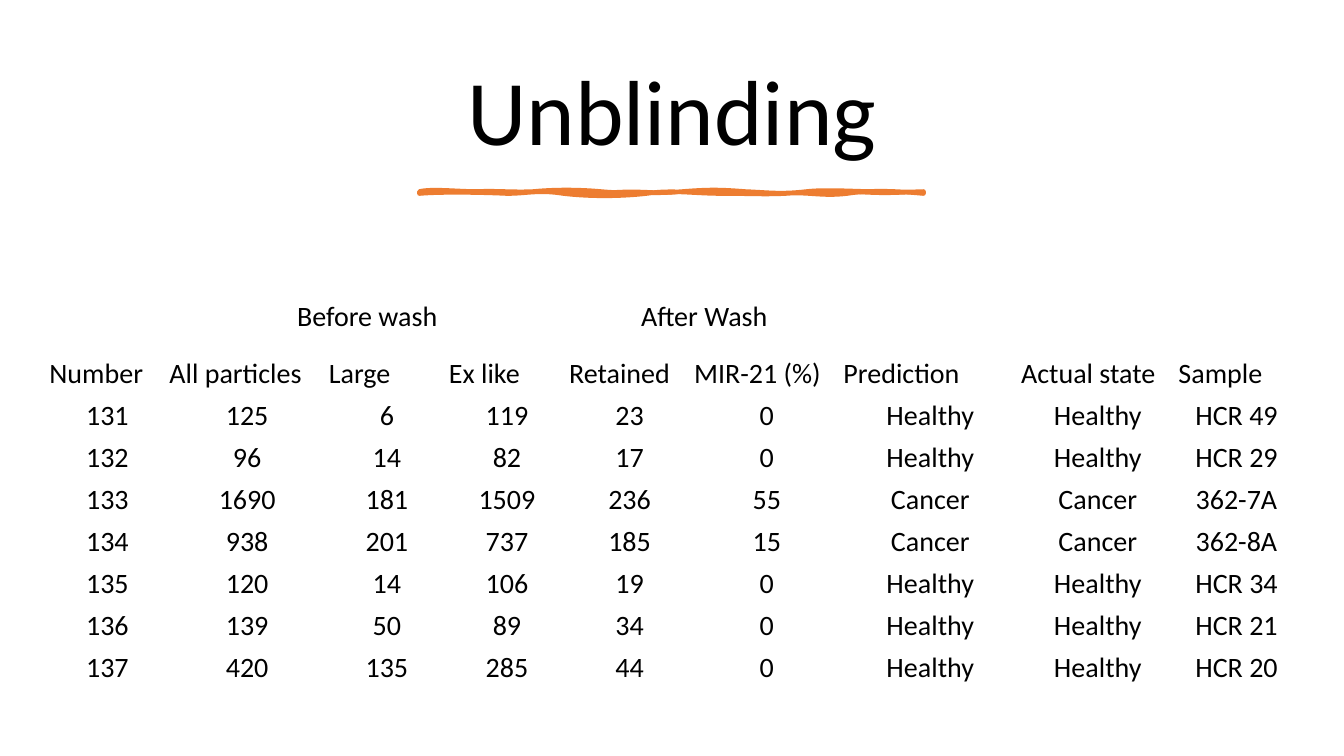
from lxml import etree
from pptx import Presentation
from pptx.dml.color import RGBColor
from pptx.enum.text import MSO_ANCHOR, MSO_AUTO_SIZE, PP_ALIGN
from pptx.oxml.ns import qn
from pptx.util import Inches, Pt

CENTER, LEFT = PP_ALIGN.CENTER, PP_ALIGN.LEFT
TOP, MIDDLE, BOTTOM = MSO_ANCHOR.TOP, MSO_ANCHOR.MIDDLE, MSO_ANCHOR.BOTTOM
NO_AUTOFIT = MSO_AUTO_SIZE.NONE

BLACK, ORANGE = "000000", "ED7D31"
FONT = "Calibri"
TITLE_ONLY = 5

# Bezier segments of the brush stroke, in hundredths of an inch from its start:
# two control points and an end point each.
BRUSH_OUTLINE = [
    [(12, -3), (38, 0), (57, 0)],
    [(76, -1), (93, 1), (113, 0)],
    [(133, -2), (158, -2), (180, 0)],
    [(201, 2), (237, 2), (261, 0)],
    [(286, -2), (298, -2), (323, 0)],
    [(347, 1), (358, 3), (384, 0)],
    [(410, -3), (451, 2), (500, 0)],
    [(501, 1), (500, 1), (500, 2)],
    [(479, 0), (449, -2), (424, 2)],
    [(399, 5), (385, 0), (363, 2)],
    [(340, 3), (331, 2), (301, 2)],
    [(271, 2), (251, -2), (225, 2)],
    [(198, 5), (169, 5), (143, 2)],
    [(118, -2), (107, 2), (87, 2)],
    [(67, 1), (22, 0), (0, 2)],
    [(0, 1), (0, 0), (0, 0)],
]
BRUSH_INTERIOR = [
    [(16, -1), (36, -2), (62, 0)],
    [(87, 1), (92, 2), (118, 0)],
    [(144, -2), (158, 2), (180, 0)],
    [(202, -3), (223, -2), (251, 0)],
    [(279, 1), (308, -3), (328, 0)],
    [(347, 2), (386, -2), (409, 0)],
    [(432, 1), (456, 3), (500, 0)],
    [(500, 0), (500, 1), (500, 2)],
    [(463, 4), (460, 4), (424, 2)],
    [(388, -1), (380, 1), (343, 2)],
    [(305, 2), (300, -2), (261, 2)],
    [(223, 6), (221, 0), (205, 2)],
    [(188, 3), (156, 3), (128, 2)],
    [(101, 0), (88, 1), (62, 2)],
    [(36, 2), (25, -1), (0, 2)],
    [(0, 1), (0, 0), (0, 0)],
]

COLUMN_WIDTHS = [1.19, 1.58, 1.19, 1.19, 1.24, 1.48, 1.76, 1.56, 1.19]
GROUP_ROW_HEIGHT = 0.58
WASH_GROUPS = [("Before wash", 1, 3), ("After Wash", 4, 5)]
HEADERS = ["Number", "All particles", "Large", "Ex like", "Retained",
           "MIR-21 (%)", "Prediction", "Actual state", "Sample"]
SAMPLES = [
    [131, 125, 6, 119, 23, 0, "Healthy", "Healthy", "HCR 49"],
    [132, 96, 14, 82, 17, 0, "Healthy", "Healthy", "HCR 29"],
    [133, 1690, 181, 1509, 236, 55, "Cancer", "Cancer", "362-7A"],
    [134, 938, 201, 737, 185, 15, "Cancer", "Cancer", "362-8A"],
    [135, 120, 14, 106, 19, 0, "Healthy", "Healthy", "HCR 34"],
    [136, 139, 50, 89, 34, 0, "Healthy", "Healthy", "HCR 21"],
    [137, 420, 135, 285, 44, 0, "Healthy", "Healthy", "HCR 20"],
]


def rgb(color):
    return RGBColor.from_string(color)


def set_attributes(target, values):
    for name, value in values.items():
        setattr(target, name, value)


def write_text(paragraph, text, size, alignment):
    paragraph.text = str(text)
    paragraph.alignment = alignment
    set_attributes(paragraph.font, {"name": FONT, "size": Pt(size)})
    paragraph.font.color.rgb = rgb(BLACK)


def add_title(slide, left, top, width, height):
    title = slide.shapes.title
    set_attributes(title, {"left": Inches(left), "top": Inches(top),
                           "width": Inches(width), "height": Inches(height)})
    set_attributes(title.text_frame, {"auto_size": NO_AUTOFIT, "word_wrap": True,
                                      "vertical_anchor": MIDDLE})
    paragraph = title.text_frame.paragraphs[0]
    write_text(paragraph, "Unblinding", 66, CENTER)
    paragraph.line_spacing = 0.9


def add_curved_path(path_list, width, height, curves, **paint):
    """Append a closed Bezier path that starts at the shape's top left corner."""
    curved = etree.SubElement(path_list, qn("a:path"), w=str(round(width * 100)),
                              h=str(round(height * 100)), **paint)
    commands = [("a:moveTo", [(0, 0)])] + [("a:cubicBezTo", curve) for curve in curves]
    for tag, points in commands:
        command = etree.SubElement(curved, qn(tag))
        for x, y in points:
            etree.SubElement(command, qn("a:pt"), x=str(x), y=str(y))
    etree.SubElement(curved, qn("a:close"))


def add_brush_stroke(slide, left, top, width, height):
    right, bottom = left + width, top + height
    builder = slide.shapes.build_freeform(Inches(left), Inches(top))
    builder.add_line_segments([(Inches(x), Inches(y)) for x, y in
                               [(right, top), (right, bottom), (left, bottom)]])
    stroke = builder.convert_to_shape()
    path_list = stroke.element.spPr.find(".//" + qn("a:pathLst"))
    path_list.remove(path_list[0])
    add_curved_path(path_list, width, height, BRUSH_OUTLINE, fill="none")
    add_curved_path(path_list, width, height, BRUSH_INTERIOR, stroke="0")
    stroke.shadow.inherit = False
    stroke.fill.solid()
    stroke.fill.fore_color.rgb = rgb(ORANGE)
    stroke.line.color.rgb = rgb(ORANGE)
    stroke.line.width = Pt(3.25)
    etree.SubElement(stroke.element.spPr.find(qn("a:ln")), qn("a:round"))


def fill_cell(cell, text, alignment, anchor, side, top, bottom):
    set_attributes(cell, {"margin_left": Inches(side), "margin_right": Inches(side),
                          "margin_top": Inches(top), "margin_bottom": Inches(bottom),
                          "vertical_anchor": anchor})
    write_text(cell.text_frame.paragraphs[0], text, 20, alignment)


def add_results_table(slide, left, top, width, height):
    rows = [HEADERS] + SAMPLES
    row_height = (height - GROUP_ROW_HEIGHT) / len(rows)
    table = slide.shapes.add_table(len(rows) + 1, len(HEADERS), Inches(left), Inches(top),
                                   Inches(width), Inches(height)).table
    set_attributes(table, {"first_row": False, "horz_banding": False})
    for column, share in zip(table.columns, COLUMN_WIDTHS):
        column.width = Inches(width * share / sum(COLUMN_WIDTHS))
    for index, row in enumerate(table.rows):
        row.height = Inches(row_height if index else GROUP_ROW_HEIGHT)
    for cell in table.iter_cells():
        cell.fill.background()
    for group, first, last in WASH_GROUPS:
        table.cell(0, first).merge(table.cell(0, last))
        fill_cell(table.cell(0, first), group, CENTER, TOP, 0.18, 0.09, 0.09)
    for row_index, values in enumerate(rows, start=1):
        alignment = LEFT if values is HEADERS else CENTER
        for column_index, value in enumerate(values):
            fill_cell(table.cell(row_index, column_index), value, alignment, BOTTOM,
                      0.02, 0.02, 0)


def main():
    deck = Presentation()
    set_attributes(deck, {"slide_width": Inches(13.33), "slide_height": Inches(7.5)})
    slide = deck.slides.add_slide(deck.slide_layouts[TITLE_ONLY])
    add_title(slide, 0.7, 0.46, 11.93, 1.37)
    add_brush_stroke(slide, 4.16, 1.9, 5, 0.02)
    add_results_table(slide, 0.47, 2.88, 12.39, 3.92)
    deck.save("out.pptx")


if __name__ == "__main__":
    main()
